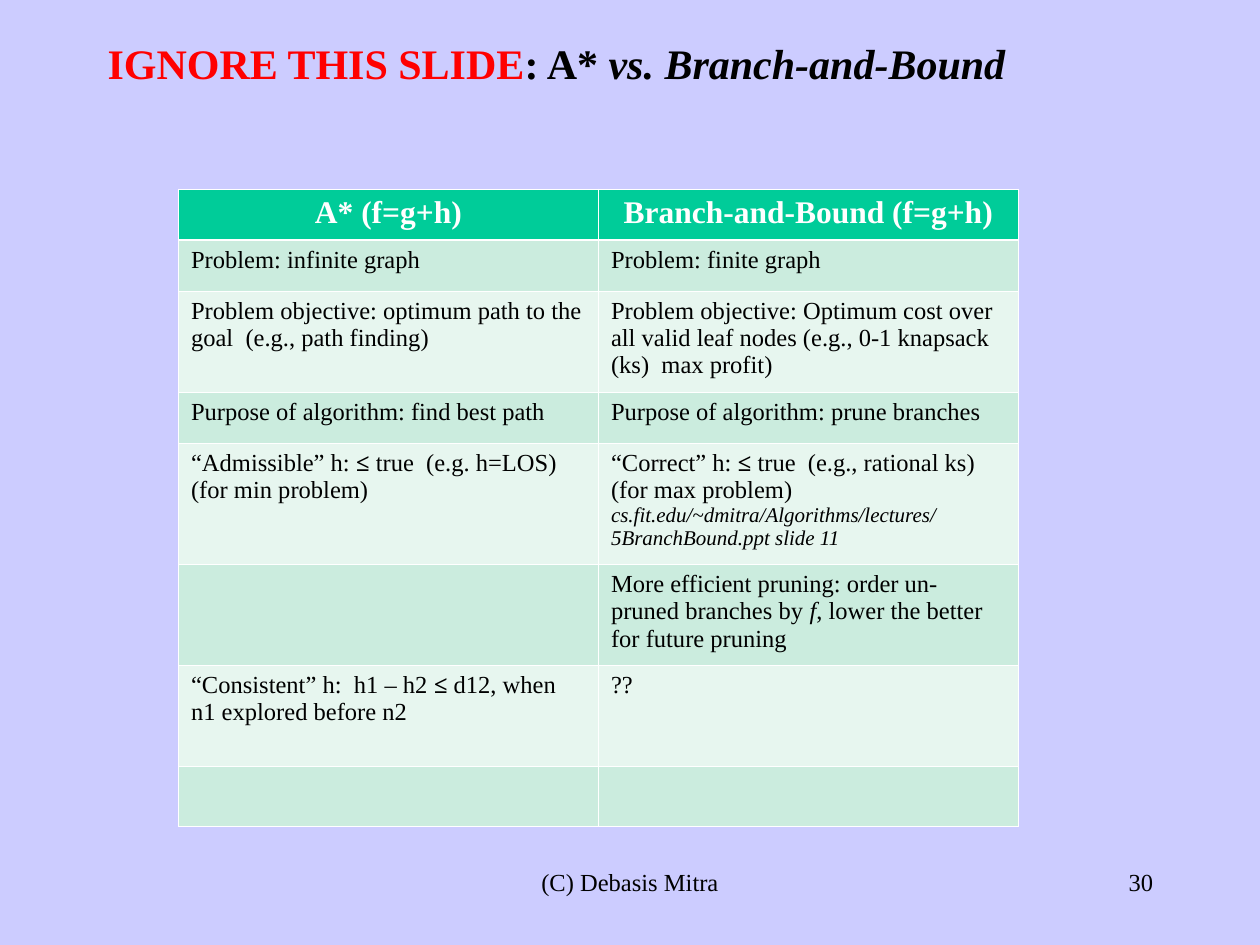
from lxml.etree import SubElement
from pptx import Presentation
from pptx.dml.color import RGBColor
from pptx.enum.text import MSO_ANCHOR, PP_ALIGN
from pptx.oxml.ns import qn
from pptx.util import Inches, Pt

COLORS = {
    "background": "CCCCFF",
    "text": "000000",
    "warning": "FF0000",
    "white": "FFFFFF",
    "header": "00CC99",
    "dark_band": "CBECDE",
    "light_band": "E7F6EF",
}
FONT = "Times New Roman"
SLIDE_WIDTH, SLIDE_HEIGHT = Inches(10), Inches(7.5)
GRID = SLIDE_WIDTH / 120  # square grid of 120 columns by 90 rows

# Boxes as left, top, width, height in grid units
TITLE_BOX = (7.5, 1, 91, 10)
TABLE_BOX = (17, 18, 80, 60.7)
FOOTER_BOX = (41, 82, 38, 6)
NUMBER_BOX = (86, 82, 25, 6)

ROW_HEIGHTS = [4.86, 4.86, 9.6, 4.86, 11.6, 9.6, 9.6, 5.7]
HEADERS = ["A* (f=g+h)", "Branch-and-Bound (f=g+h)"]
BOLD, ITALIC, SMALL = {"bold": True}, {"italic": True}, {"italic": True, "size": 12}

# Each cell is a list of paragraphs, each paragraph a list of (text, format) runs
COMPARISON = [
    [[[("Problem: infinite graph", {})]],
     [[("Problem: finite graph", {})]]],
    [[[("Problem objective: optimum path to the goal  (e.g., path finding)", {})]],
     [[("Problem objective: Optimum cost over all valid leaf nodes "
        "(e.g., 0-1 knapsack (ks)  max profit)", {})]]],
    [[[("Purpose of algorithm: find best path", {})]],
     [[("Purpose of algorithm: prune branches", {})]]],
    [[[("“Admissible” h: ", {}), ("≤", BOLD), (" true  (e.g. h=LOS)", {})],
      [("(for min problem)", {})]],
     [[("“Correct” h: ", {}), ("≤ ", BOLD), ("true  (e.g., rational ks)", {})],
      [("(for max problem)", {})],
      [("cs.fit.edu/~dmitra/Algorithms/lectures/5BranchBound.ppt slide 11", SMALL)]]],
    [[],
     [[("More efficient pruning: order un-pruned branches by ", {}), ("f", ITALIC),
       (", lower the better for future pruning", {})]]],
    [[[("“Consistent” h:  h1 – h2 ", {}), ("≤", BOLD),
       (" d12, when n1 explored before n2", {})]],
     [[("??", {})]]],
    [[], []],
]


def place(box):
    return [round(GRID * units) for units in box]


def add_run(paragraph, text, size=14, color="text", bold=False, italic=False):
    run = paragraph.add_run()
    run.text = text
    font = run.font
    font.name, font.size, font.bold, font.italic = FONT, Pt(size), bold, italic
    font.color.rgb = RGBColor.from_string(COLORS[color])


def fill_text(text_frame, paragraphs, alignment=PP_ALIGN.LEFT):
    for index, runs in enumerate(paragraphs):
        paragraph = text_frame.add_paragraph() if index else text_frame.paragraphs[0]
        paragraph.alignment = alignment
        for text, style in runs:
            add_run(paragraph, text, **style)


def add_text(slide, box, runs, alignment, anchor=MSO_ANCHOR.TOP):
    text_frame = slide.shapes.add_textbox(*place(box)).text_frame
    text_frame.word_wrap = True
    text_frame.vertical_anchor = anchor
    fill_text(text_frame, [runs], alignment)


def add_title(slide, box):
    title = {"size": 24, "bold": True}
    runs = [
        ("IGNORE THIS SLIDE", {**title, "color": "warning"}),
        (": A* ", title),
        ("vs. Branch-and-Bound", {**title, "italic": True}),
    ]
    add_text(slide, box, runs, PP_ALIGN.CENTER, MSO_ANCHOR.MIDDLE)


def style_cell(cell, color, top, bottom):
    properties = cell._tc.get_or_add_tcPr()
    for side, width in (("L", 0.45), ("R", 0.45), ("T", top), ("B", bottom)):
        line = SubElement(properties, qn(f"a:ln{side}"), w=str(Pt(width)))
        line_fill = SubElement(line, qn("a:solidFill"))
        SubElement(line_fill, qn("a:srgbClr"), val=COLORS["white"])
    cell.fill.solid()
    cell.fill.fore_color.rgb = RGBColor.from_string(COLORS[color])


def add_comparison_table(slide, box):
    table = slide.shapes.add_table(len(ROW_HEIGHTS), len(HEADERS), *place(box)).table
    table.horz_banding = False
    for row, height in zip(table.rows, ROW_HEIGHTS):
        row.height = round(GRID * height)

    # Header row, with a thicker rule below it
    header_style = {"size": 18, "bold": True, "color": "white"}
    for column, text in enumerate(HEADERS):
        cell = table.cell(0, column)
        style_cell(cell, "header", 0.45, 1.5)
        fill_text(cell.text_frame, [[(text, header_style)]], PP_ALIGN.CENTER)

    # Banded body rows
    for row, contents in enumerate(COMPARISON, start=1):
        for column, paragraphs in enumerate(contents):
            cell = table.cell(row, column)
            band = "dark_band" if row % 2 else "light_band"
            style_cell(cell, band, 1.5 if row == 1 else 0.45, 0.45)
            fill_text(cell.text_frame, paragraphs)


def add_footer(slide, footer_box, number_box):
    add_text(slide, footer_box, [("(C) Debasis Mitra", {})], PP_ALIGN.CENTER)
    add_text(slide, number_box, [("30", {})], PP_ALIGN.RIGHT)


def main():
    presentation = Presentation()
    presentation.slide_width, presentation.slide_height = SLIDE_WIDTH, SLIDE_HEIGHT
    slide = presentation.slides.add_slide(presentation.slide_layouts[6])
    slide.background.fill.solid()
    slide.background.fill.fore_color.rgb = RGBColor.from_string(COLORS["background"])

    add_title(slide, TITLE_BOX)
    add_comparison_table(slide, TABLE_BOX)
    add_footer(slide, FOOTER_BOX, NUMBER_BOX)
    presentation.save("out.pptx")


if __name__ == "__main__":
    main()
